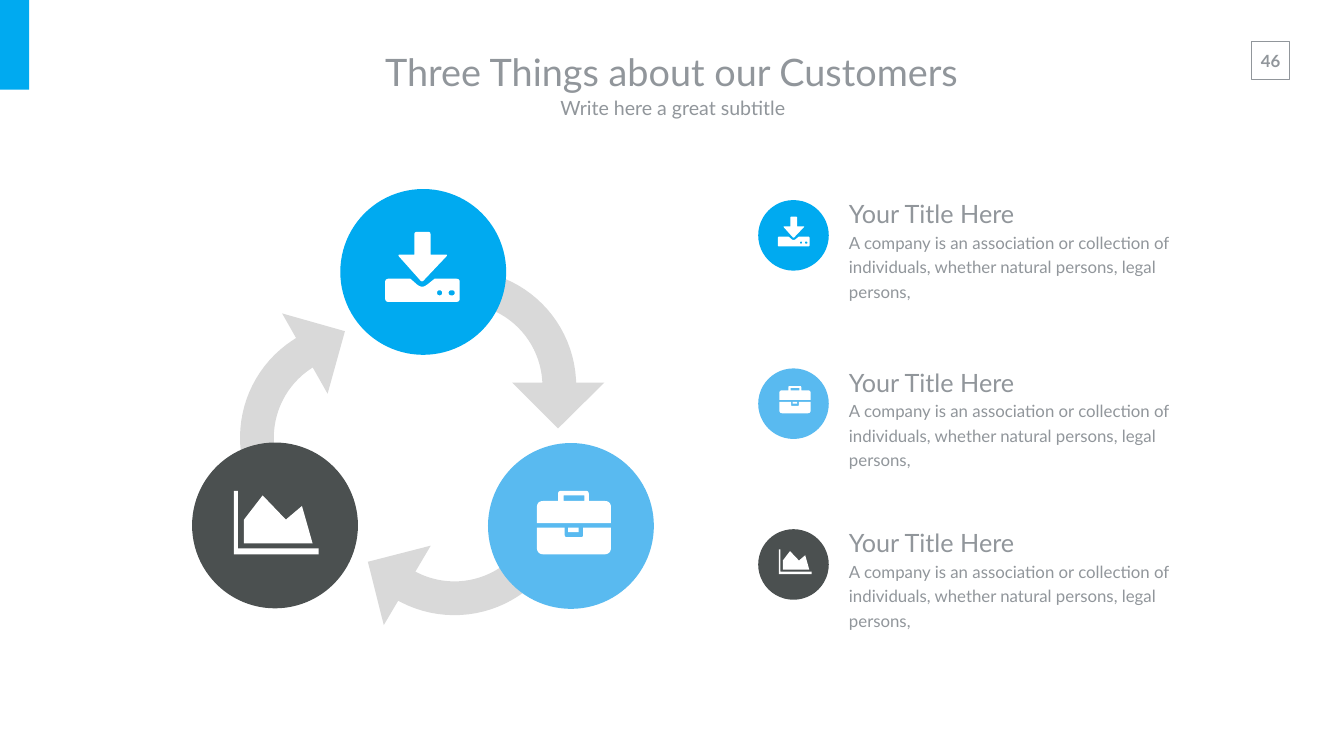
from math import cos, radians, sin, hypot

from pptx import Presentation
from pptx.dml.color import RGBColor
from pptx.enum.shapes import MSO_SHAPE
from pptx.enum.text import MSO_ANCHOR, MSO_AUTO_SIZE, PP_ALIGN
from pptx.util import Inches, Pt

RECT, OVAL = MSO_SHAPE.RECTANGLE, MSO_SHAPE.OVAL
LEFT, CENTER = PP_ALIGN.LEFT, PP_ALIGN.CENTER
TOP, MIDDLE = MSO_ANCHOR.TOP, MSO_ANCHOR.MIDDLE
GROW = MSO_AUTO_SIZE.SHAPE_TO_FIT_TEXT

FONT = "Lato"
COLORS = {"blue": "00AAF0", "sky": "59BAF0", "dark": "4B5050",
          "text": "91969B", "arrow": "D9D9D9", "white": "FFFFFF"}


def rectangle(left, top, right, bottom, radius=0):
    return [(left, top, radius), (right, top, radius),
            (right, bottom, radius), (left, bottom, radius)]


# Icon: width, height, then outlines made of (x, y, corner radius)
DOWNLOAD = (1.48, 1.39, [
    [(0, 0.93, 0.07), (0.5, 0.93, 0), (0.73, 1.13, 0.13), (0.98, 0.93, 0),
     (1.48, 0.93, 0.07), (1.48, 1.39, 0.07), (0, 1.39, 0.07)],
    [(0.58, 0, 0.05), (0.9, 0, 0.05), (0.9, 0.45, 0), (1.25, 0.45, 0.06),
     (0.73, 1, 0.05), (0.24, 0.45, 0.06), (0.58, 0.45, 0)],
    rectangle(1.03, 1.16, 1.13, 1.26, 0.05),
    rectangle(1.26, 1.16, 1.38, 1.26, 0.05)])
BRIEFCASE = (1.47, 1.26, [
    [(0, 0.64, 0), (0, 0.2, 0.13), (0.42, 0.2, 0), (0.42, 0, 0.06),
     (1.03, 0, 0.06), (1.03, 0.2, 0), (1.47, 0.2, 0.13), (1.47, 0.64, 0)],
    rectangle(0.53, 0.09, 0.94, 0.2),
    [(0, 0.73, 0), (0.55, 0.73, 0), (0.55, 0.92, 0.05), (0.92, 0.92, 0.05),
     (0.92, 0.73, 0), (1.47, 0.73, 0), (1.47, 1.26, 0.14), (0, 1.26, 0.14)],
    rectangle(0.62, 0.73, 0.83, 0.82)])
CHART = (1.68, 1.26, [
    [(0, 0, 0), (0.08, 0, 0), (0.08, 1.14, 0), (1.68, 1.14, 0),
     (1.68, 1.26, 0), (0, 1.26, 0)],
    [(0.2, 1.04, 0), (0.2, 0.57, 0), (0.57, 0.09, 0), (1.03, 0.57, 0),
     (1.35, 0.3, 0), (1.56, 1.04, 0)]])

# Colour, icon, cycle circle, cycle icon box, row circle top, row icon box
# (icon boxes are relative to their circle)
TOPICS = [
    ("blue", DOWNLOAD, (6.75, 3.75), (0.89, 0.85, 1.48, 1.39),
     3.97, (0.39, 0.33, 0.63, 0.59)),
    ("sky", BRIEFCASE, (9.68, 8.79), (0.97, 0.95, 1.47, 1.26),
     7.31, (0.42, 0.35, 0.62, 0.54)),
    ("dark", CHART, (3.81, 8.78), (0.83, 0.96, 1.68, 1.26),
     10.5, (0.41, 0.4, 0.65, 0.49)),
]
ARROWS = [(9.12, 5.35, 0), (7.48, 9.93, 120.6), (4.29, 6.22, 240.5)]
ROW_TITLE = "Your Title Here"
ROW_BODY = ("A company is an association or collection of individuals, "
            "whether natural persons, legal persons,")


def color(name):
    return RGBColor.from_string(COLORS[name])


def paint(shape, fill=None, line=None):
    shape.shadow.inherit = False
    if fill:
        shape.fill.solid()
        shape.fill.fore_color.rgb = color(fill)
    else:
        shape.fill.background()
    if line:
        shape.line.color.rgb = color(line)
        shape.line.width = Pt(1)
    else:
        shape.line.fill.background()


def add_preset(page, kind, box, fill=None, line=None):
    shape = page.shapes.add_shape(kind, *map(Inches, box))
    paint(shape, fill, line)


def add_outline(page, contours, fill):
    """Draw closed contours of (x, y) points in inches as one shape."""
    contours = [[(Inches(x), Inches(y)) for x, y in points]
                for points in contours]
    builder = page.shapes.build_freeform(*contours[0][0], scale=1.0)
    for index, points in enumerate(contours):
        if index:
            builder.move_to(*points[0])
        builder.add_line_segments(points[1:], close=True)
    shape = builder.convert_to_shape()
    paint(shape, fill)
    return shape


def add_text(page, box, lines, align=LEFT, anchor=TOP, inset=(0.2, 0.1),
             wrap=True, bold=False, spacing=None):
    """Add a text box; lines holds (text, size) pairs."""
    frame = page.shapes.add_textbox(*map(Inches, box)).text_frame
    frame.word_wrap, frame.auto_size = wrap, GROW
    frame.vertical_anchor = anchor
    frame.margin_left = frame.margin_right = Inches(inset[0])
    frame.margin_top = frame.margin_bottom = Inches(inset[1])
    for index, (text, size) in enumerate(lines):
        para = frame.add_paragraph() if index else frame.paragraphs[0]
        para.alignment = align
        if spacing:
            para.line_spacing = spacing
        span = para.add_run()
        span.text = text
        span.font.name, span.font.size = FONT, Pt(size)
        span.font.bold = bold
        span.font.color.rgb = color("text")


def round_corners(corners, steps=6):
    points = []
    for index, (x, y, radius) in enumerate(corners):
        if not radius:
            points.append((x, y))
            continue
        ends = []
        for other in (corners[index - 1], corners[(index + 1) % len(corners)]):
            dx, dy = other[0] - x, other[1] - y
            share = radius / hypot(dx, dy)
            ends.append((x + dx * share, y + dy * share))
        (ax, ay), (bx, by) = ends
        for step in range(steps + 1):
            t = step / steps
            a, c, b = (1 - t) ** 2, 2 * t * (1 - t), t ** 2
            points.append((a * ax + c * x + b * bx, a * ay + c * y + b * by))
    return points


def add_icon(page, icon, box):
    width, height, contours = icon
    left, top, box_width, box_height = box
    add_outline(page, [[(left + x * box_width / width,
                         top + y * box_height / height)
                        for x, y in round_corners(corners)]
                       for corners in contours], "white")


def add_badge(page, left, top, size, fill, icon, icon_box):
    """Circle with an icon."""
    add_preset(page, OVAL, (left, top, size, size), fill)
    dx, dy, width, height = icon_box
    add_icon(page, icon, (left + dx, top + dy, width, height))


def add_curved_arrow(page, left, top, rotation):
    outer, inner, neck, tip = 2.31, 1.64, 2.24, 3.15
    angles = [radians(90 * step / 24) for step in range(25)]

    def arc(radius):
        return [(radius * sin(a), outer - radius * cos(a)) for a in angles
                if outer - radius * cos(a) <= neck]

    points = (arc(outer) + [(outer, neck), (2.87, neck), (1.95, tip),
                            (1.04, neck), (inner, neck)] + arc(inner)[::-1])
    shape = add_outline(page, [[(left + x, top + y) for x, y in points]],
                        "arrow")
    shape.rotation = rotation


def add_header(page):
    add_preset(page, RECT, (0, 0, 0.58, 1.78), "blue")
    add_preset(page, RECT, (24.83, 0.82, 0.75, 0.75), line="text")
    add_text(page, (24.8, 0.9, 0.81, 0.61), [("46", 24)], CENTER,
             wrap=False, bold=True)
    for box, text, size in [
            ((5.76, 0.83, 15.12, 1.18), "Three Things about our Customers", 54),
            ((8.18, 1.76, 10.33, 0.74), "Write here a great subtitle", 28)]:
        add_text(page, box, [(text, size)], CENTER, MIDDLE, (0.27, 0.13))


def add_cycle(page):
    for arrow in ARROWS:
        add_curved_arrow(page, *arrow)
    for fill, icon, (left, top), icon_box, _, _ in TOPICS:
        add_badge(page, left, top, 3.29, fill, icon, icon_box)


def add_rows(page, left):
    for fill, icon, _, _, top, icon_box in TOPICS:
        add_badge(page, left, top, 1.4, fill, icon, icon_box)
        add_text(page, (left + 1.6, top - 0.25, 7.72, 1.88),
                 [(ROW_TITLE, 36), (ROW_BODY, 24)], spacing=1.2)


def main():
    deck = Presentation()
    deck.slide_width, deck.slide_height = Inches(26.66), Inches(15)
    page = deck.slides.add_slide(deck.slide_layouts[6])
    add_header(page)
    add_cycle(page)
    add_rows(page, 15.04)
    deck.save("out.pptx")


if __name__ == "__main__":
    main()
